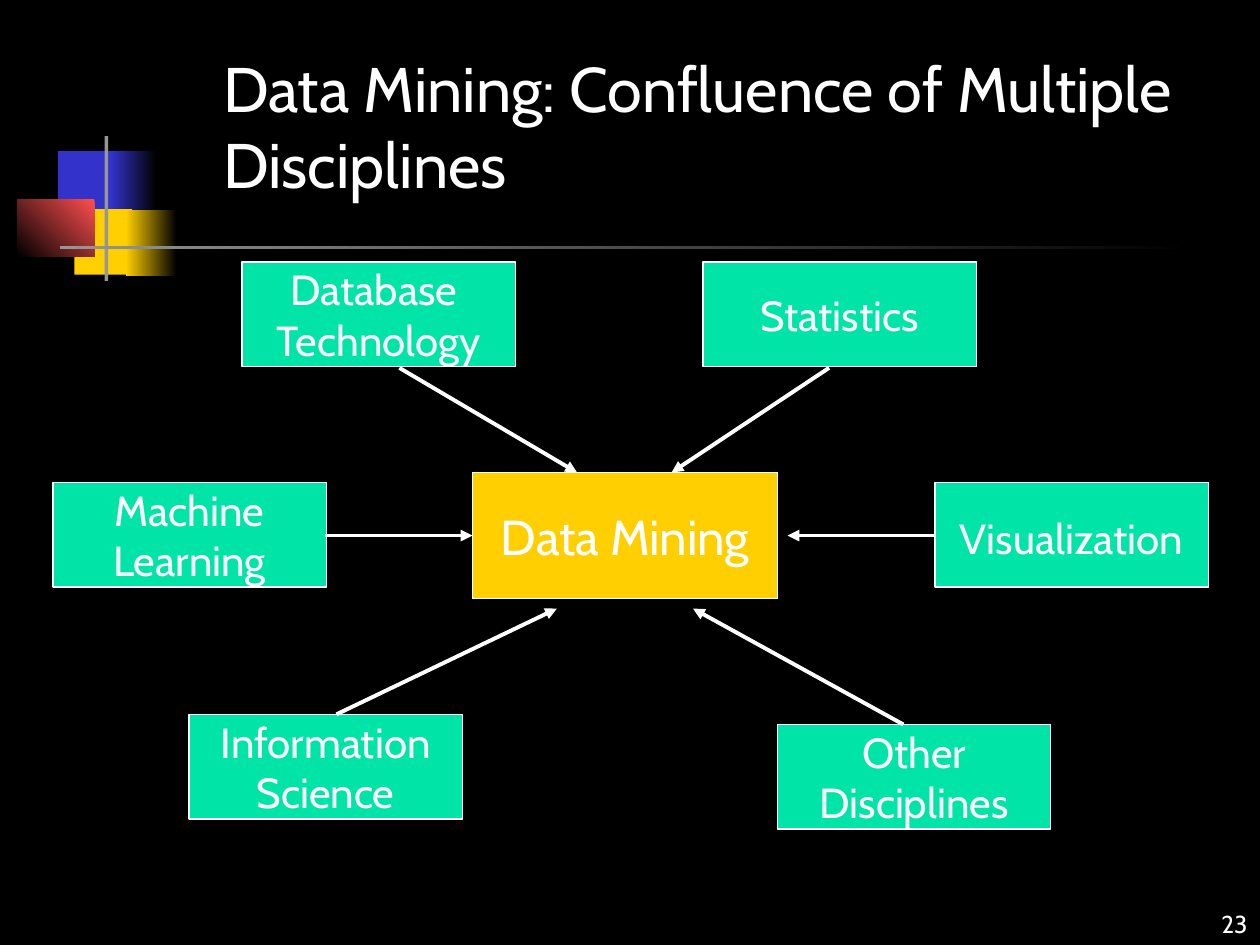
from typing import NamedTuple, Optional

from lxml.etree import SubElement
from pptx import Presentation
from pptx.dml.color import RGBColor
from pptx.enum.shapes import MSO_CONNECTOR as Connector, MSO_SHAPE as Preset
from pptx.enum.text import MSO_ANCHOR as Anchor, PP_ALIGN as Align
from pptx.oxml.ns import qn
from pptx.util import Inches, Pt

COLORS = {
    "black": "000000",
    "white": "FFFFFF",
    "blue": "3333CC",
    "yellow": "FFCF01",
    "red": "FF5050",
    "gray": "969696",
    "green": "00E4A8",
}
FONT = "Cabin"
BOX_WIDTH, BOX_HEIGHT = 2.17, 0.83


class Ornament(NamedTuple):
    left: float
    top: float
    width: float
    height: float
    color: str
    fade_to: Optional[str] = None
    angle: float = 180


class Topic(NamedTuple):
    label: str
    left: float
    top: float
    width: float = BOX_WIDTH
    height: float = BOX_HEIGHT
    color: str = "green"
    size: float = 24
    line_spacing: Optional[float] = None
    space_before: float = 0


class Arrow(NamedTuple):
    start: tuple[float, float]
    end: tuple[float, float]


ORNAMENTS = [
    Ornament(0.46, 1.2, 0.48, 0.52, "blue"),
    Ornament(0.88, 1.2, 0.36, 0.52, "black", "blue"),
    Ornament(0.59, 1.66, 0.46, 0.52, "yellow"),
    Ornament(1, 1.67, 0.4, 0.52, "black", "yellow"),
    Ornament(0.14, 1.58, 0.61, 0.46, "red", "black", 225),
    Ornament(0.83, 1.08, 0.03, 1.15, "gray"),
    Ornament(0.48, 1.95, 9, 0.03, "black", "gray"),
]

TOPICS = [
    Topic("Data Mining", 3.75, 3.75, 2.42, 1, "yellow", 28),
    Topic("Database \nTechnology", 1.92, 2.08),
    Topic("Statistics", 5.58, 2.08),
    Topic("Other\nDisciplines", 6.17, 5.75),
    Topic("Information\nScience", 1.5, 5.67),
    Topic("Machine\nLearning", 0.42, 3.83),
    Topic("Visualization", 7.42, 3.83, line_spacing=1.1, space_before=6),
]

ARROWS = [
    Arrow((2.58, 4.25), (3.75, 4.25)),
    Arrow((3.17, 2.92), (4.58, 3.75)),
    Arrow((6.58, 2.92), (5.33, 3.75)),
    Arrow((7.42, 4.25), (6.25, 4.25)),
    Arrow((7.17, 5.75), (5.5, 4.83)),
    Arrow((2.67, 5.67), (4.42, 4.83)),
]


def rgb(name: str) -> RGBColor:
    return RGBColor.from_string(COLORS[name])


def write(frame, text: str, size: float, align: Align, anchor: Anchor) -> None:
    frame.text = text
    frame.vertical_anchor = anchor
    for paragraph in frame.paragraphs:
        paragraph.alignment = align
        paragraph.font.name = FONT
        paragraph.font.size = Pt(size)
        paragraph.font.color.rgb = rgb("white")


def add_rectangle(slide, part: Ornament | Topic):
    box = slide.shapes.add_shape(
        Preset.RECTANGLE, *map(Inches, (part.left, part.top, part.width, part.height))
    )
    box.shadow.inherit = False
    box.fill.solid()
    box.fill.fore_color.rgb = rgb(part.color)
    return box


def add_ornament(slide, ornament: Ornament) -> None:
    box = add_rectangle(slide, ornament)
    box.line.fill.background()
    if ornament.fade_to:
        box.fill.gradient()
        box.fill.gradient_angle = ornament.angle
        stops = box.fill.gradient_stops
        for stop, position, color in zip(stops, (0, 1), (ornament.color, ornament.fade_to)):
            stop.position = position
            stop.color.rgb = rgb(color)


def add_topic(slide, topic: Topic) -> None:
    box = add_rectangle(slide, topic)
    box.line.color.rgb = rgb("white")
    box.line.width = Pt(0.75)
    frame = box.text_frame
    frame.word_wrap = False
    write(frame, topic.label, topic.size, Align.CENTER, Anchor.MIDDLE)
    for paragraph in frame.paragraphs:
        paragraph.line_spacing = topic.line_spacing
        paragraph.space_before = Pt(topic.space_before)


def add_arrow(slide, arrow: Arrow) -> None:
    connector = slide.shapes.add_connector(
        Connector.STRAIGHT, *map(Inches, (*arrow.start, *arrow.end))
    )
    connector.line.color.rgb = rgb("white")
    connector.line.width = Pt(2.25)
    SubElement(connector.line._get_or_add_ln(), qn("a:tailEnd"), type="triangle")
    SubElement(connector._element.spPr, qn("a:effectLst"))


def main() -> None:
    deck = Presentation()
    deck.slide_width, deck.slide_height = Inches(10), Inches(7.5)
    slide = deck.slides.add_slide(deck.slide_layouts[5])
    slide.background.fill.solid()
    slide.background.fill.fore_color.rgb = rgb("black")

    for ornament in ORNAMENTS:
        add_ornament(slide, ornament)

    title = slide.shapes.title
    title.left, title.top = Inches(1.67), Inches(0.33)
    title.width, title.height = Inches(8.17), Inches(1.33)
    write(title.text_frame, "Data Mining: Confluence of Multiple Disciplines",
          36, Align.LEFT, Anchor.MIDDLE)

    for topic in TOPICS:
        add_topic(slide, topic)
    for arrow in ARROWS:
        add_arrow(slide, arrow)

    page_number = slide.shapes.add_textbox(*map(Inches, (7.92, 7, 2.08, 0.5)))
    page_number.text_frame.word_wrap = True
    write(page_number.text_frame, "23", 14, Align.RIGHT, Anchor.BOTTOM)

    deck.save("out.pptx")


if __name__ == "__main__":
    main()
